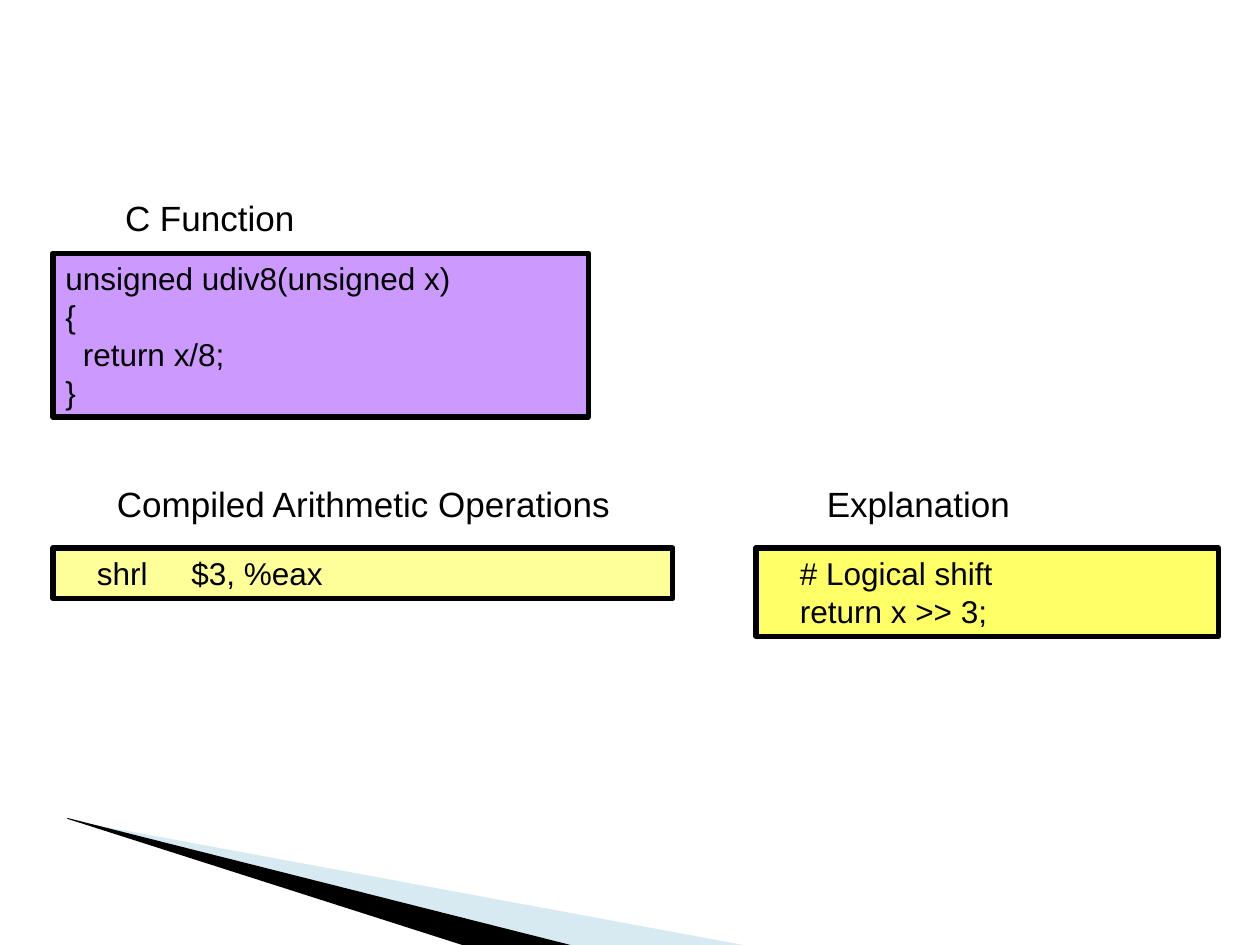
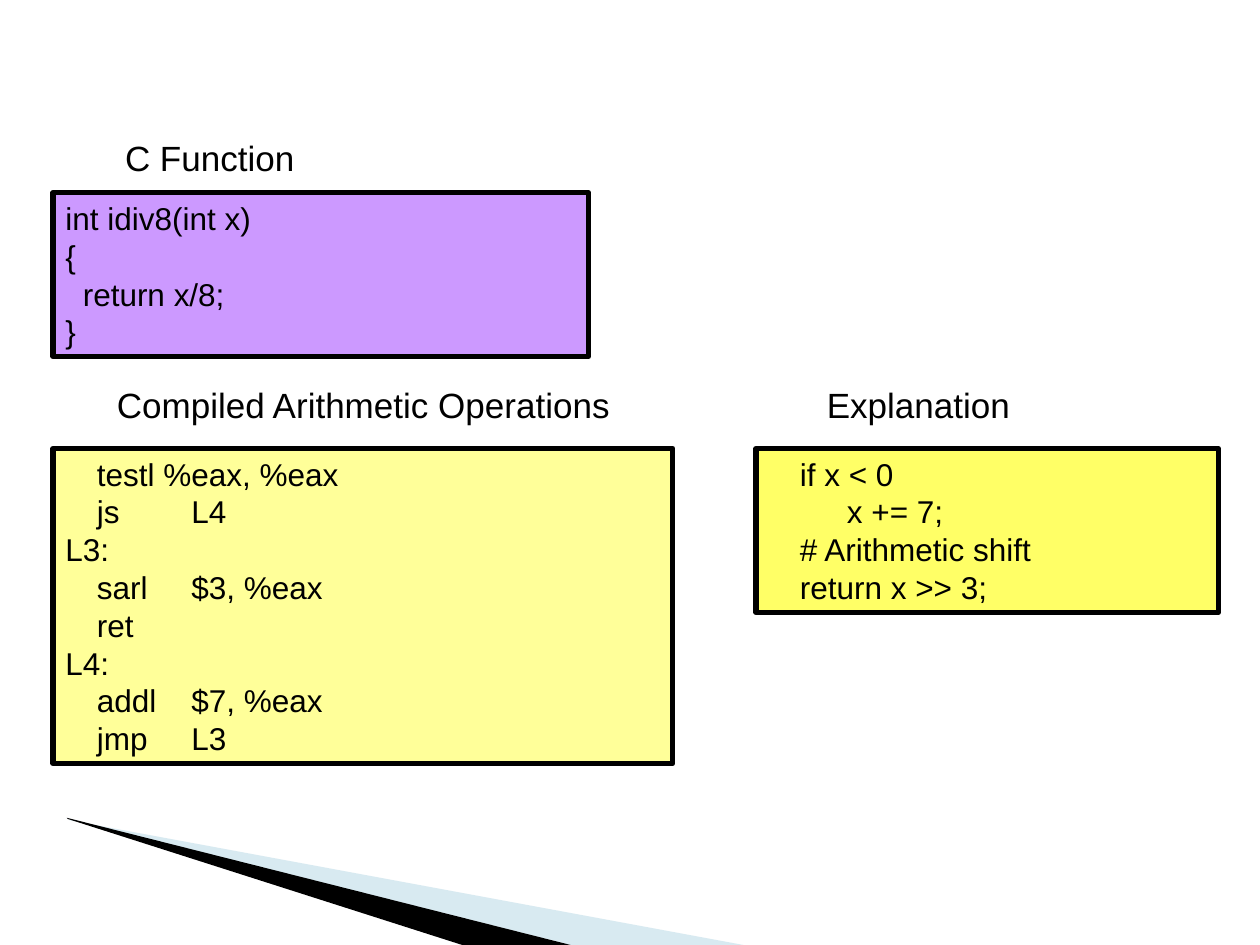
from dataclasses import dataclass

from lxml import etree
from pptx import Presentation
from pptx import util as u
from pptx.dml import color as col
from pptx.enum import text as t
from pptx.enum import shapes as s
from pptx.oxml import ns


@dataclass(frozen=True)
class Theme:
    font: str = "Arial"
    ink: str = "000000"
    mist: str = "9FCBDC"
    code: int = 18
    head: int = 20
    edge: int = 3


@dataclass(frozen=True)
class Panel:
    """A code box with its heading; sizes in inches."""
    head: str
    head_x: float
    head_w: float
    gap: float
    left: float
    width: float
    fill: str
    tabs: tuple


@dataclass(frozen=True)
class Page:
    """Top of the upper and lower row, and the code of each panel."""
    upper: float
    lower: float
    source: str
    compiled: str
    meaning: str


THEME = Theme()
WIDE = tuple(range(8))
NARROW = (0, 0.25, *range(1, 7))
LINE_H, PAD = 0.3, 0.1

# Panels shared by both slides
SOURCE = Panel("C Function", 0.94, 1.45, 0.46, 0.42, 4.25, "CC99FF", WIDE)
COMPILED = Panel("Compiled Arithmetic Operations", 0.87, 4.03, 0.53,
                 0.42, 4.92, "FFFF99", NARROW)
MEANING = Panel("Explanation", 6.51, 1.56, 0.53, 6, 3.67, "FFFF66", NARROW)

PAGES = (
    Page(2.01, 4.35,
         "unsigned udiv8(unsigned x)\n{\n  return x/8;\n}",
         "\tshrl\t$3, %eax",
         "\t# Logical shift\n\treturn x >> 3;"),
    Page(1.53, 3.56,
         "int idiv8(int x)\n{\n  return x/8;\n}",
         "\ttestl %eax, %eax\n\tjs\tL4\nL3:\n\tsarl\t$3, %eax\n\tret\n"
         "L4:\n\taddl\t$7, %eax\n\tjmp\tL3",
         "\tif x < 0\n         x += 7;\n\t# Arithmetic shift\n\treturn x >> 3;"),
)


def paint(shape, fill: str) -> None:
    shape.shadow.inherit = False
    shape.fill.solid()
    shape.fill.fore_color.rgb = col.RGBColor.from_string(fill)


def set_tabs(para, stops: tuple) -> None:
    tabs = etree.SubElement(para._p.get_or_add_pPr(), ns.qn("a:tabLst"))
    for stop in stops:
        etree.SubElement(tabs, ns.qn("a:tab"), pos=str(u.Inches(stop)), algn="l")


def write(shape, words: str, size: int, align, side: float, stops: tuple,
          wrap: bool = True, space: float | None = None) -> None:
    frame = shape.text_frame
    frame.text = words
    frame.word_wrap = wrap
    frame.auto_size = t.MSO_AUTO_SIZE.SHAPE_TO_FIT_TEXT
    frame.vertical_anchor = t.MSO_ANCHOR.TOP
    frame.margin_left = frame.margin_right = u.Inches(side)
    frame.margin_top = frame.margin_bottom = u.Inches(0.05)
    for para in frame.paragraphs:
        para.alignment = align
        para.line_spacing = space
        set_tabs(para, stops)
        for run in para.runs:
            run.font.name = THEME.font
            run.font.size = u.Pt(size)
            run.font.color.rgb = col.RGBColor.from_string(THEME.ink)


def draw_wedge(slide, points: list, fill: str, alpha: int = 100) -> None:
    spots = [(u.Inches(x), u.Inches(y)) for x, y in points]
    pen = slide.shapes.build_freeform(*spots[0])
    pen.add_line_segments(spots[1:], close=True)
    wedge = pen.convert_to_shape()
    paint(wedge, fill)
    wedge.line.fill.background()
    if alpha < 100:
        tint = wedge._element.spPr.find(".//" + ns.qn("a:srgbClr"))
        etree.SubElement(tint, ns.qn("a:alpha"), val=str(alpha * 1000))


def draw_base(slide) -> None:
    draw_wedge(slide, [(0.55, 6.51), (5.9, 7.5), (4.53, 7.5), (0.55, 6.5)],
               THEME.mist, 40)
    draw_wedge(slide, [(0.53, 6.49), (4.53, 7.5), (3.67, 7.5), (0.54, 6.5)],
               THEME.ink)


def draw_panel(slide, panel: Panel, top: float, code: str) -> None:
    # Code box, as tall as its lines
    tall = LINE_H * len(code.split("\n")) + PAD
    box = slide.shapes.add_shape(
        s.MSO_SHAPE.RECTANGLE, u.Inches(panel.left), u.Inches(top),
        u.Inches(panel.width), u.Inches(tall))
    paint(box, panel.fill)
    box.line.color.rgb = col.RGBColor.from_string(THEME.ink)
    box.line.width = u.Pt(THEME.edge)
    write(box, code, THEME.code, t.PP_ALIGN.LEFT, 0.1, panel.tabs)

    # Heading above the box
    head = slide.shapes.add_textbox(
        u.Inches(panel.head_x), u.Inches(top - panel.gap),
        u.Inches(panel.head_w), u.Inches(0.4))
    write(head, panel.head, THEME.head, t.PP_ALIGN.CENTER, 0.05, WIDE,
          wrap=False, space=0.9)


def main() -> None:
    deck = Presentation()
    deck.slide_width, deck.slide_height = u.Inches(10), u.Inches(7.5)
    blank = deck.slide_layouts[6]
    for page in PAGES:
        slide = deck.slides.add_slide(blank)
        draw_base(slide)
        draw_panel(slide, SOURCE, page.upper, page.source)
        draw_panel(slide, COMPILED, page.lower, page.compiled)
        draw_panel(slide, MEANING, page.lower, page.meaning)
    deck.save("out.pptx")


if __name__ == "__main__":
    main()
